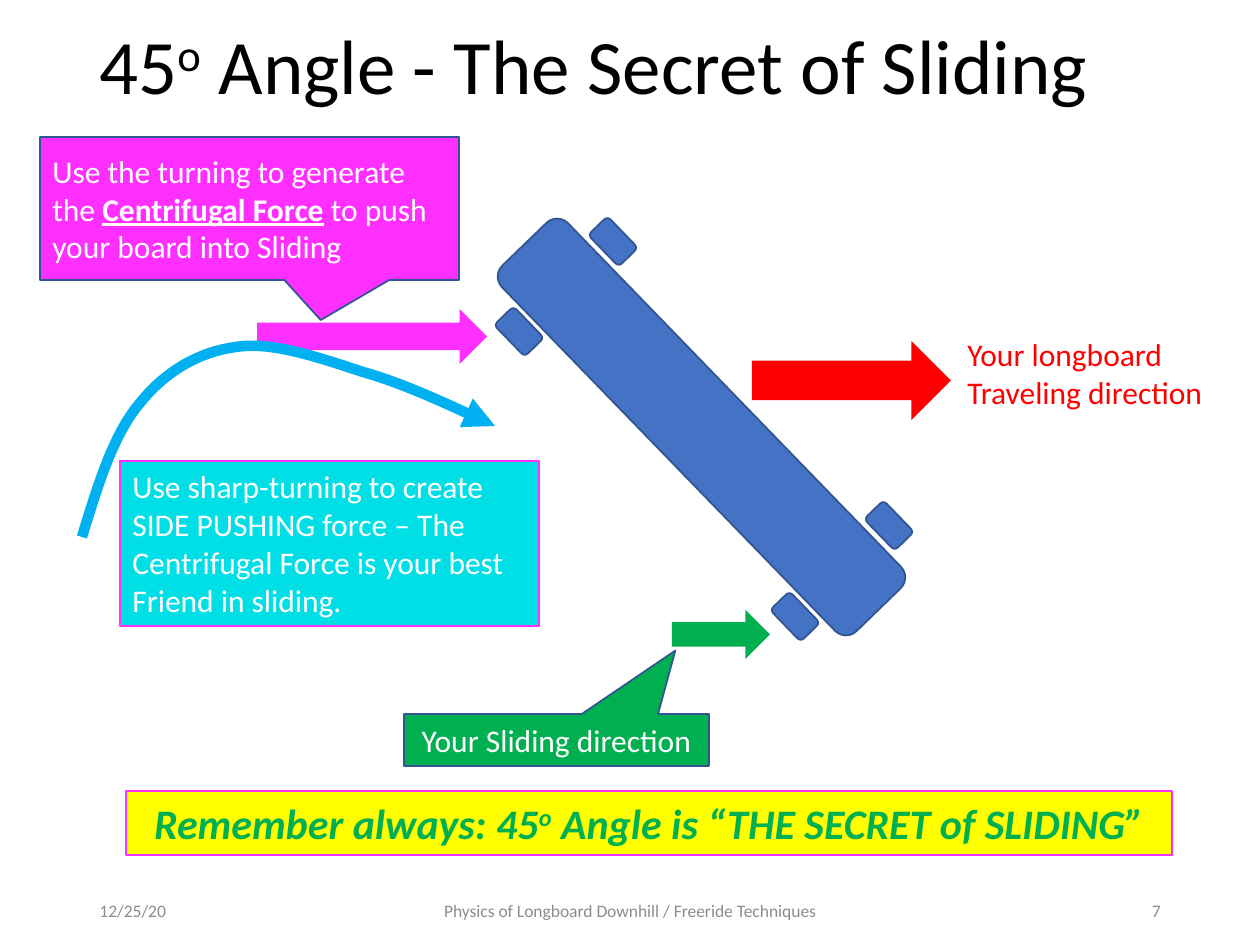
import pptx
import pptx.util
import pptx.dml.color
import pptx.enum.shapes
import pptx.enum.text
import lxml.etree
import pptx.oxml.ns

SCALE = 914400 / 126  # EMU per px
THEME = {
    "font": "Calibri", "title": 44, "banner": 24, "body": 18, "footer": 10,
    "black": "000000", "white": "FFFFFF", "grey": "8C8C8C", "red": "FF0000",
    "board": "4472C4", "outline": "325491", "magenta": "FF30FF", "green": "00B050",
    "yellow": "FFFF00", "cyan": "00DFE5", "curve": "00B0F0",
}
KIND = pptx.enum.shapes.MSO_SHAPE
ALIGN = pptx.enum.text.PP_ALIGN
ANCHOR = pptx.enum.text.MSO_ANCHOR


def write(sp, runs, size, color, align=ALIGN.LEFT, anchor=ANCHOR.MIDDLE, spacing=1.0):
    """Fill sp with one paragraph of (text, format) runs."""
    tf = sp.text_frame
    tf.word_wrap = True
    tf.vertical_anchor = anchor
    p = tf.paragraphs[0]
    p.alignment = align
    p.line_spacing = spacing
    for text, extra in runs:
        r = p.add_run()
        r.text = text
        base = {"name": THEME["font"], "size": pptx.util.Pt(THEME[size])}
        for name, value in {**base, **extra}.items():
            if name == "baseline":
                r.font._element.set(name, value)
            else:
                setattr(r.font, name, value)
        r.font.color.rgb = pptx.dml.color.RGBColor.from_string(THEME[color])


def add_shape(kind, box, fill, line=None, width=1, rotation=0):
    sp = s.shapes.add_shape(kind, *(round(v * SCALE) for v in box))
    sp.shadow.inherit = False
    sp.rotation = rotation
    sp.fill.solid()
    sp.fill.fore_color.rgb = pptx.dml.color.RGBColor.from_string(THEME[fill])
    if line:
        sp.line.color.rgb = pptx.dml.color.RGBColor.from_string(THEME[line])
        sp.line.width = pptx.util.Pt(width)
    else:
        sp.line.fill.background()
    return sp


prs = pptx.Presentation()
prs.slide_width = pptx.util.Inches(10)
prs.slide_height = pptx.util.Inches(7.5)
s = prs.slides.add_slide(prs.slide_layouts[6])
RAISED = {"baseline": "30000"}

# Title, footer and direction label
labels = [
    ((87, 19, 1086, 102), [("45", {}), ("o", RAISED), (" Angle - The Secret of Sliding", {})],
     "title", "black", ALIGN.LEFT, ANCHOR.MIDDLE, 0.9),
    ((87, 895, 284, 31), [("12/25/20", {})], "footer", "grey"),
    ((417, 895, 426, 31), [("Physics of Longboard Downhill / Freeride Techniques", {})],
     "footer", "grey", ALIGN.CENTER),
    ((890, 895, 283, 31), [("7", {})], "footer", "grey", ALIGN.RIGHT),
    ((955, 329, 294, 89), [("Your longboard Traveling direction", {})],
     "body", "red", ALIGN.LEFT, ANCHOR.TOP),
]
for box, *content in labels:
    write(s.shapes.add_textbox(*(round(v * SCALE) for v in box)), *content)

# Longboard: deck and four wheels, all at one angle
board_parts = [(447, 381, 509, 92)]
board_parts += [(x, y, 44, 27) for x, y in ((591, 228), (497, 318), (773, 603), (867, 512))]
for box in board_parts:
    add_shape(KIND.ROUNDED_RECTANGLE, box, "board", "outline", rotation=45.9)

# Force and direction arrows
for box, fill in (((752, 341, 199, 79), "red"), ((257, 309, 230, 55), "magenta"),
                  ((672, 610, 98, 49), "green")):
    add_shape(KIND.RIGHT_ARROW, box, fill)

# Banner and turning note
banner = add_shape(KIND.RECTANGLE, (126, 791, 1046, 64), "yellow", "magenta", 0.75)
strong = {"bold": True, "italic": True}
write(banner, [("Remember always: 45", strong), ("o", {**strong, **RAISED}),
               (" Angle is “THE SECRET of SLIDING”", strong)],
      "banner", "green", ALIGN.CENTER, ANCHOR.TOP)
note = add_shape(KIND.RECTANGLE, (120, 461, 419, 165), "cyan", "magenta", 0.75)
write(note, [("Use sharp-turning to create SIDE PUSHING force – The Centrifugal Force "
              "is your best Friend in sliding.", {})], "body", "white", anchor=ANCHOR.TOP)

# Turning path: Bezier segments sampled into short lines
START = (82, 537)
SEGMENTS = [
    ((98, 485), (113, 435), (140, 403)),
    ((165, 372), (198, 352), (236, 347)),
    ((272, 341), (320, 358), (363, 372)),
    ((406, 384), (451, 406), (495, 426)),
]
STEPS = 16
points = []
p0 = START
for p1, p2, p3 in SEGMENTS:
    for i in range(1, STEPS + 1):
        t = i / STEPS
        points.append(tuple(
            (1 - t) ** 3 * a + 3 * (1 - t) ** 2 * t * b + 3 * (1 - t) * t ** 2 * c + t ** 3 * d
            for a, b, c, d in zip(p0, p1, p2, p3)))
    p0 = p3
builder = s.shapes.build_freeform(*(round(v * SCALE) for v in START))
builder.add_line_segments([(round(x * SCALE), round(y * SCALE)) for x, y in points], close=False)
curve = builder.convert_to_shape()
curve.shadow.inherit = False
curve.fill.background()
curve.line.color.rgb = pptx.dml.color.RGBColor.from_string(THEME["curve"])
curve.line.width = pptx.util.Pt(6)
ln = curve.line._get_or_add_ln()
lxml.etree.SubElement(ln, pptx.oxml.ns.qn("a:round"))
lxml.etree.SubElement(ln, pptx.oxml.ns.qn("a:tailEnd"), type="triangle")

# Callouts, each with its pointer offset
callouts = [
    ((404, 714, 305, 52), (0.39, -1.72), "green", ALIGN.CENTER,
     [("Your Sliding direction", {})]),
    ((40, 137, 419, 143), (0.17, 0.78), "magenta", ALIGN.LEFT,
     [("Use the turning to generate the ", {}),
      ("Centrifugal Force", {"bold": True, "underline": True}),
      (" to push your board into Sliding", {})]),
]
for box, pointer, fill, align, runs in callouts:
    sp = add_shape(KIND.RECTANGULAR_CALLOUT, box, fill, "outline")
    for i, offset in enumerate(pointer):
        sp.adjustments[i] = offset
    write(sp, runs, "body", "white", align)

prs.save("out.pptx")
